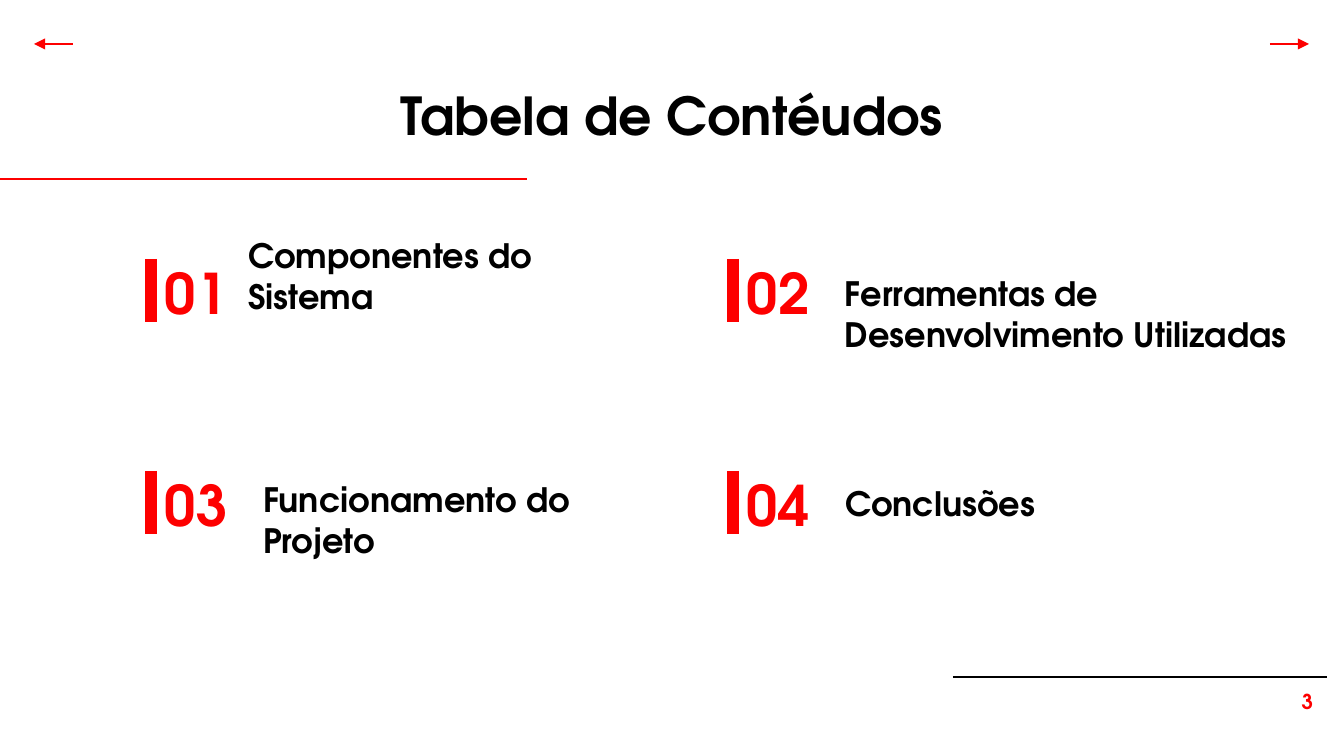
from lxml import etree
from pptx import Presentation
from pptx import util as u
from pptx.dml.color import RGBColor
from pptx.enum import shapes, text
from pptx.oxml.ns import qn

FONT = "TeX Gyre Adventor"
RED, BLACK, WHITE = "FD0000", "000000", "FFFFFF"
LEFT, CENTER, RIGHT = text.PP_ALIGN.LEFT, text.PP_ALIGN.CENTER, text.PP_ALIGN.RIGHT
TOP, BOTTOM = text.MSO_ANCHOR.TOP, text.MSO_ANCHOR.BOTTOM

TITLE = "Tabela de Contéudos"
PAGE_NUMBER = "3"
# topic, label left, label top, label width
TOPICS = [
    ("Componentes do Sistema", 235, 251, 435),
    ("Ferramentas de Desenvolvimento Utilizadas", 832, 289, 485),
    ("Funcionamento do Projeto", 250, 495, 435),
    ("Conclusões", 832, 458, 435),
]
COLUMNS = (165, 747)
ROWS = (246, 458)
LABEL_HEIGHT = 78
NUMBER_SIZE = (85, 87)
BAR_GAP, BAR_DROP, BAR_HEIGHT = 14, 13, 63
INSET = 13
# x1, y1, x2, y2, colour
RULES = [(-3, 179, 527, 179, RED), (953, 677, 1327, 677, BLACK)]
ARROWS = [(1270, 44, 1309, 44, RED), (73, 44, 34, 44, RED)]


def px(value):
    return round(value * 914400 / 134.4)


def color(value):
    return RGBColor.from_string(value)


def add_text(page, content, place, size, ink, align=LEFT, anchor=TOP, left_inset=INSET):
    box = page.shapes.add_textbox(*map(px, place))
    frame = box.text_frame
    frame.word_wrap = True
    frame.vertical_anchor = anchor
    frame.margin_left = px(left_inset)
    frame.margin_top = frame.margin_right = frame.margin_bottom = px(INSET)
    frame.text = content
    para = frame.paragraphs[0]
    para.alignment = align
    font = para.runs[0].font
    font.name, font.size, font.bold = FONT, u.Pt(size), True
    font.color.rgb = color(ink)


def add_line(page, x1, y1, x2, y2, ink, width=0.75, arrow=False):
    line = page.shapes.add_connector(
        shapes.MSO_CONNECTOR.STRAIGHT, px(x1), px(y1), px(x2), px(y2))
    line.line.color.rgb = color(ink)
    line.line.width = u.Pt(width)
    if arrow:
        stroke = line.line._get_or_add_ln()
        etree.SubElement(stroke, qn("a:tailEnd"), type="triangle", w="med", len="med")
    etree.SubElement(line._element.spPr, qn("a:effectLst"))


def main():
    deck = Presentation()
    deck.slide_width, deck.slide_height = px(1344), px(756)
    page = deck.slides.add_slide(deck.slide_layouts[6])
    page.background.fill.solid()
    page.background.fill.fore_color.rgb = color(WHITE)

    for rule in RULES:
        add_line(page, *rule)
    add_text(page, PAGE_NUMBER, (1240, 677, 86, 58), 11, RED, RIGHT)
    add_text(page, TITLE, (216, 70, 911, 85), 28, BLACK, CENTER)

    for index, (topic, left, top, width) in enumerate(TOPICS):
        row, column = divmod(index, len(COLUMNS))
        x, y = COLUMNS[column], ROWS[row]
        add_text(page, topic, (left, top, width, LABEL_HEIGHT), 18, BLACK, anchor=BOTTOM)
        add_text(page, f"{index + 1:02}", (x, y, *NUMBER_SIZE), 30, RED, left_inset=0)
        bar_x, bar_y = x - BAR_GAP, y + BAR_DROP
        add_line(page, bar_x, bar_y, bar_x, bar_y + BAR_HEIGHT, RED, width=6)

    for arrow in ARROWS:
        add_line(page, *arrow, arrow=True)
    deck.save("out.pptx")


if __name__ == "__main__":
    main()
